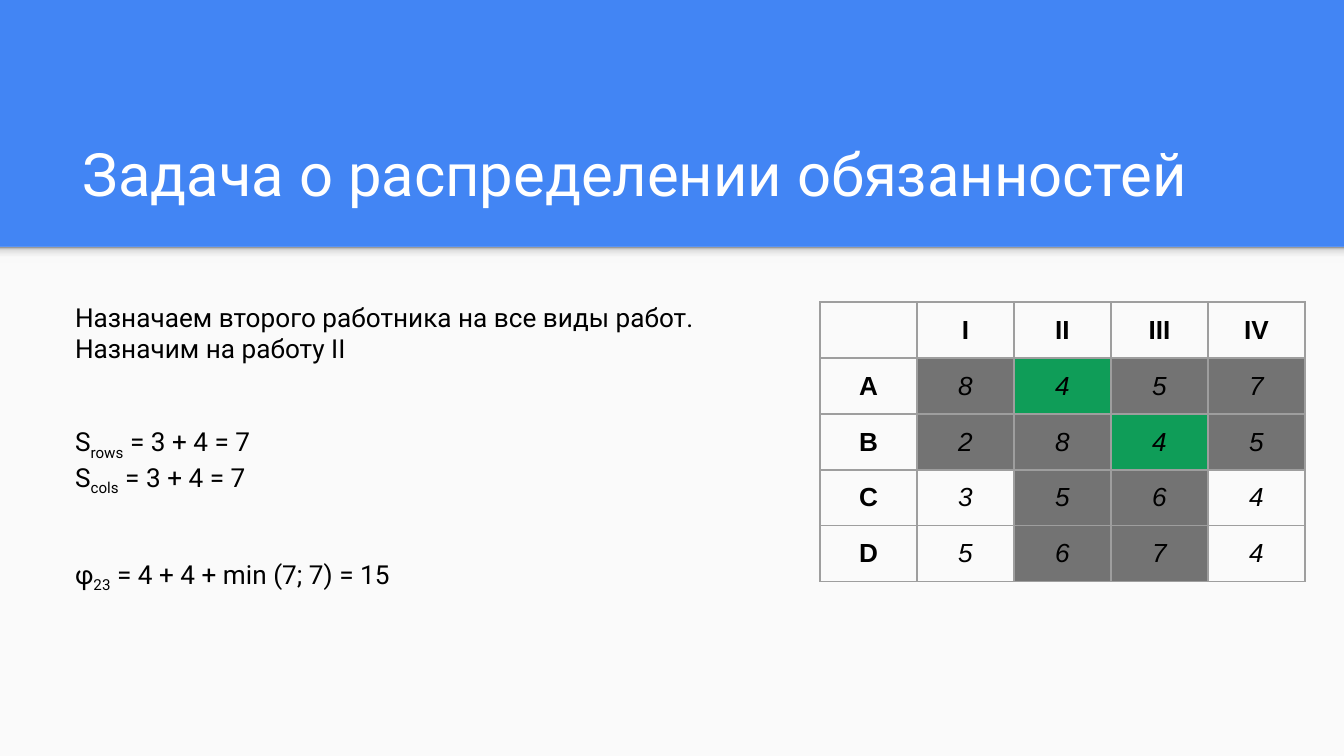
from lxml import etree
from pptx import Presentation
from pptx.dml.color import RGBColor
from pptx.enum.shapes import MSO_SHAPE
from pptx.enum.text import MSO_ANCHOR, PP_ALIGN
from pptx.oxml.ns import qn
from pptx.util import Emu, Pt

RECT = MSO_SHAPE.RECTANGLE
TOP, MIDDLE, BOTTOM = MSO_ANCHOR.TOP, MSO_ANCHOR.MIDDLE, MSO_ANCHOR.BOTTOM
LEFT, CENTER = PP_ALIGN.LEFT, PP_ALIGN.CENTER

SCALE = 9144000 / 1344
INSET = 13
COLORS = {
    "blue": "4285F4", "paper": "FAFAFA", "white": "FFFFFF", "black": "000000",
    "gray": "737373", "green": "0F9D58", "border": "9E9E9E",
}
SHADOW_STOPS = [(0, "F9F9F9"), (36, "F9F9F9"), (80, "DEDEDE"), (100, "999999")]


def px(n):
    return Emu(round(n * SCALE))


def rgb(name):
    return RGBColor.from_string(COLORS[name])


def add_color(parent, value):
    etree.SubElement(parent, qn("a:srgbClr"), val=value)


class Deck:
    def __init__(self, width, height):
        self.prs = Presentation()
        self.prs.slide_width, self.prs.slide_height = px(width), px(height)
        self.s = self.prs.slides.add_slide(self.prs.slide_layouts[6])

    def background(self, color):
        fill = self.s.background.fill
        fill.solid()
        fill.fore_color.rgb = rgb(color)

    def rect(self, x, y, w, h, color=None):
        sp = self.s.shapes.add_shape(RECT, px(x), px(y), px(w), px(h))
        sp.shadow.inherit = False
        sp.line.fill.background()
        if color:
            sp.fill.solid()
            sp.fill.fore_color.rgb = rgb(color)
        return sp

    def gradient(self, x, y, w, h, stops):
        sp = self.rect(x, y, w, h)
        sp.fill.gradient()
        sp.fill.gradient_angle = 90
        stop_list = sp._element.spPr.find(".//" + qn("a:gsLst"))
        for old in list(stop_list):
            stop_list.remove(old)
        for percent, value in stops:
            stop = etree.SubElement(stop_list, qn("a:gs"), pos=str(percent * 1000))
            add_color(stop, value)

    def style(self, p, size, color, font="Roboto", align=LEFT, bold=False, italic=False):
        p.alignment = align
        f = p.font
        f.name, f.size, f.bold, f.italic = font, Pt(size), bold, italic
        f.color.rgb = rgb(color)

    def text(self, x, y, w, h, lines, size, color, anchor=TOP):
        tf = self.s.shapes.add_textbox(px(x), px(y), px(w), px(h)).text_frame
        tf.word_wrap = True
        tf.vertical_anchor = anchor
        tf.margin_left = tf.margin_right = tf.margin_top = tf.margin_bottom = px(INSET)
        for i, (before, base, sub, rest) in enumerate(lines):
            p = tf.paragraphs[0] if i == 0 else tf.add_paragraph()
            p.space_before = Pt(before)
            for part in filter(None, (base, sub, rest)):
                r = p.add_run()
                r.text = part
                if part == sub:
                    r._r.get_or_add_rPr().set("baseline", "-25000")
            self.style(p, size, color)

    def borders(self, cell, color, width):
        tc_pr = cell._tc.get_or_add_tcPr()
        for side in ("lnL", "lnR", "lnT", "lnB"):
            ln = etree.SubElement(tc_pr, qn("a:" + side), w=str(Pt(width)))
            add_color(etree.SubElement(ln, qn("a:solidFill")), COLORS[color])

    def table(self, x, y, col_w, row_h, rows, fills):
        n_rows, n_cols = len(rows), len(rows[0])
        table = self.s.shapes.add_table(
            n_rows, n_cols, px(x), px(y), px(col_w * n_cols), px(row_h * n_rows)
        ).table
        table.first_row = table.horz_banding = False
        for col in table.columns:
            col.width = px(col_w)
        for i, row in enumerate(rows):
            table.rows[i].height = px(row_h)
            for j, value in enumerate(row):
                cell = table.cell(i, j)
                cell.text = value
                cell.vertical_anchor = MIDDLE
                cell.margin_top = cell.margin_bottom = 0
                header = i == 0 or j == 0
                self.style(cell.text_frame.paragraphs[0], 14, "black", "Arial",
                           CENTER, bold=header, italic=not header)
                self.borders(cell, "border", 0.75)
                if (i, j) in fills:
                    cell.fill.solid()
                    cell.fill.fore_color.rgb = rgb(fills[i, j])
                else:
                    cell.fill.background()


def main():
    deck = Deck(1344, 756)
    deck.background("blue")
    deck.rect(0, 247, 1344, 509, "paper")
    deck.gradient(0, 247, 1344, 16, SHADOW_STOPS)
    deck.text(70, 109, 1208, 113,
              [(0, "Задача о распределении обязанностей", "", "")], 32, "white", BOTTOM)

    costs = [
        ["", "I", "II", "III", "IV"],
        ["A", "8", "4", "5", "7"],
        ["B", "2", "8", "4", "5"],
        ["C", "3", "5", "6", "4"],
        ["D", "5", "6", "7", "4"],
    ]
    assigned = [(1, 2), (2, 3)]
    used_rows, used_cols = zip(*assigned)
    fills = {(i, j): "gray" for i in range(1, 5) for j in range(1, 5)
             if i in used_rows or j in used_cols}
    fills.update({cell: "green" for cell in assigned})
    fills.update({(i, 1): "paper" for i in (3, 4)})
    deck.table(820, 302, 97, 56, costs, fills)

    gap = 33
    deck.text(62, 288, 711, 403, [
        (0, "Назначаем второго работника на все виды работ.", "", ""),
        (0, "Назначим на работу II", "", ""),
        (gap, "S", "rows", " = 3 + 4 = 7"),
        (0, "S", "cols", " = 3 + 4 = 7"),
        (gap, "φ", "23", " = 4 + 4 + min (7; 7) = 15"),
    ], 14, "black")
    deck.prs.save("out.pptx")


if __name__ == "__main__":
    main()
